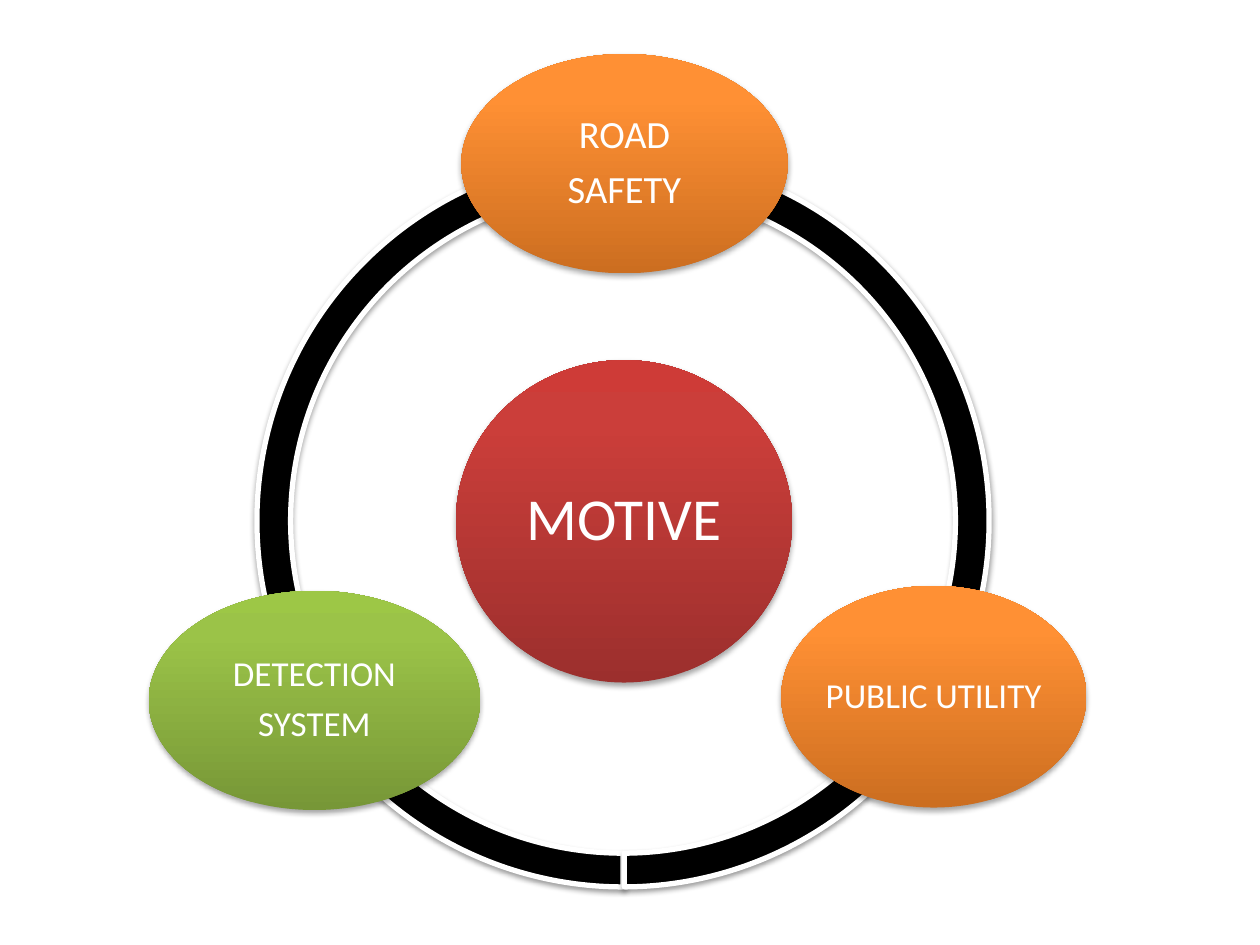
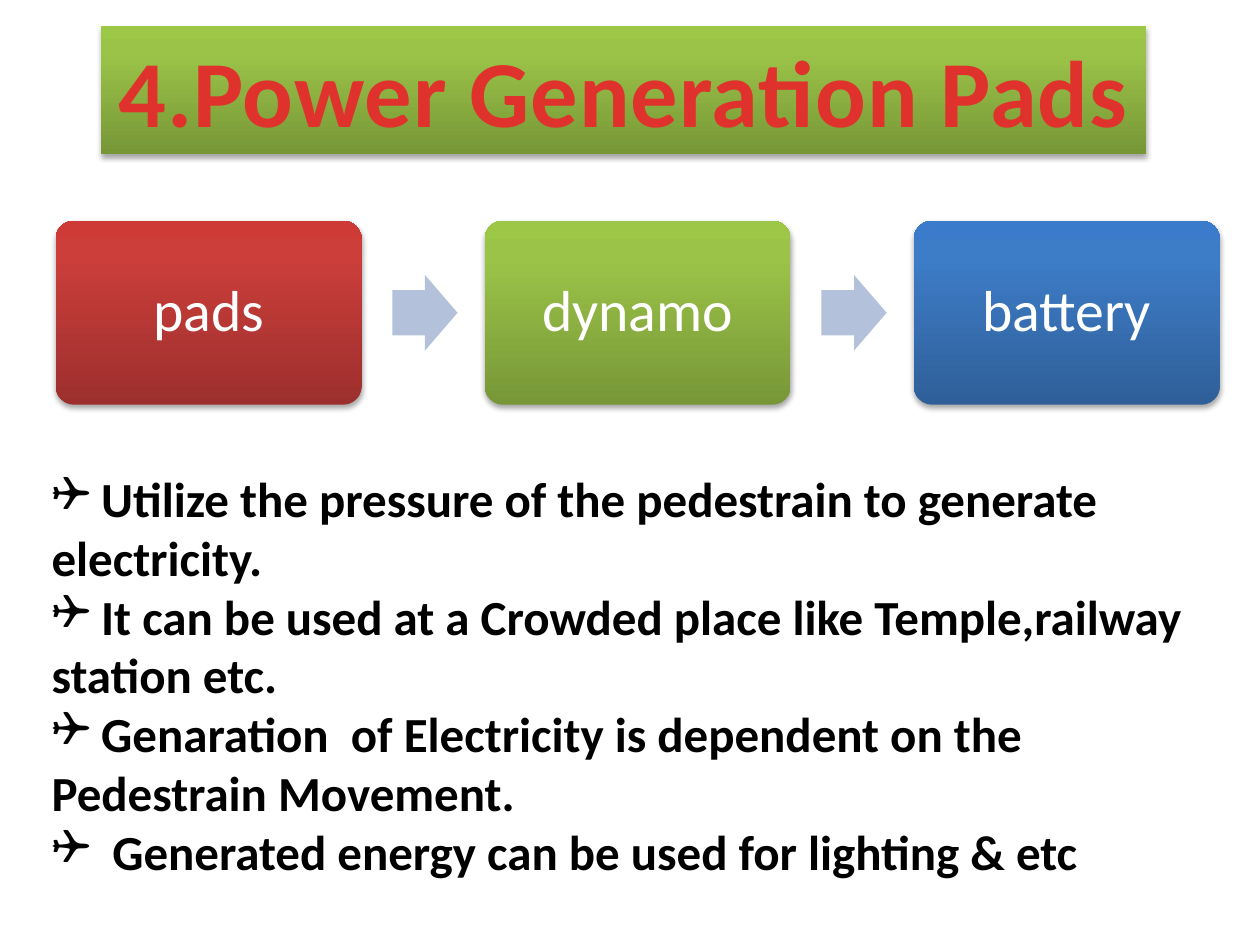
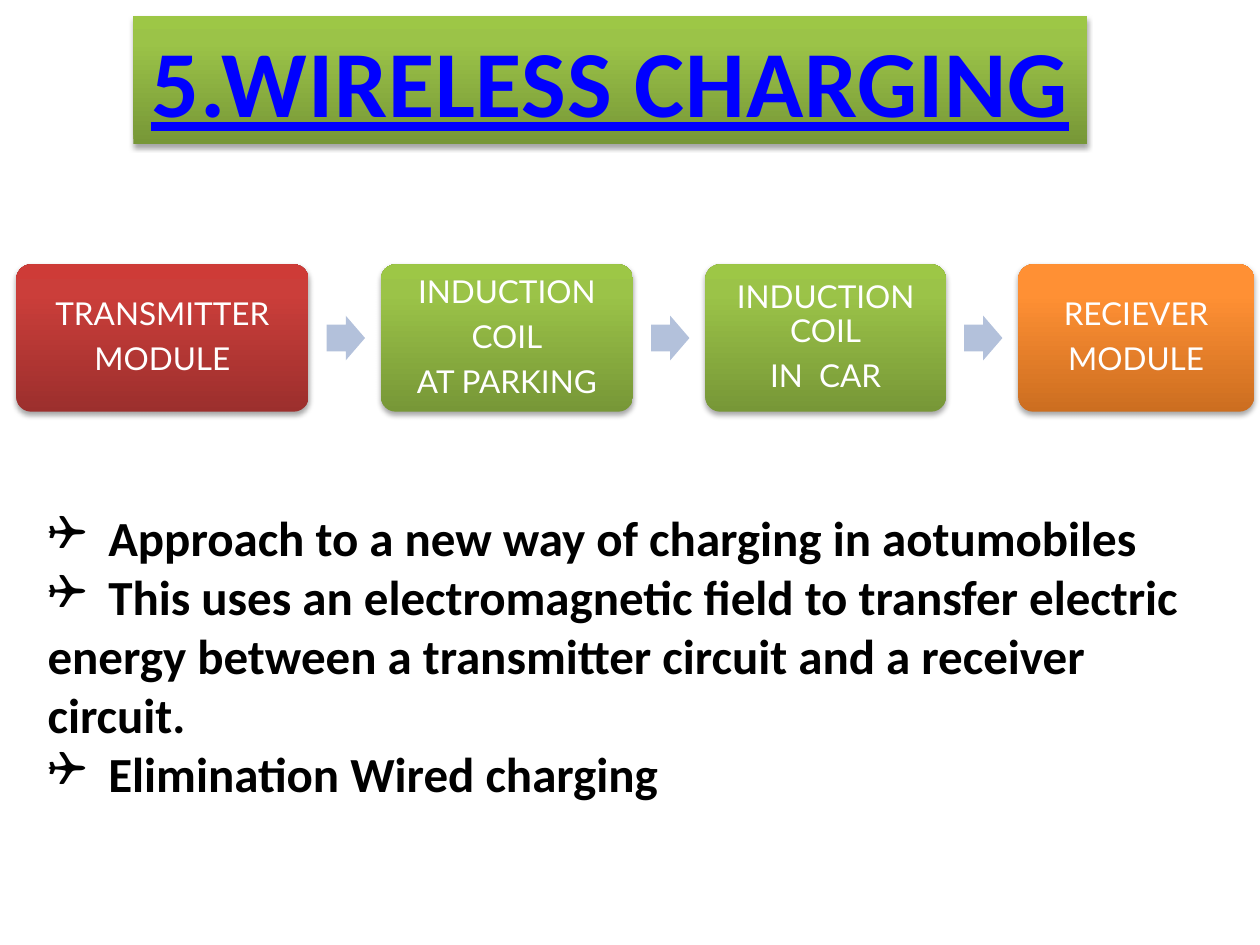
from pptx import Presentation
from pptx.dml.color import RGBColor
from pptx.enum.shapes import MSO_SHAPE
from pptx.enum.text import MSO_ANCHOR, MSO_AUTO_SIZE, PP_ALIGN
from pptx.oxml import parse_xml
from pptx.oxml.ns import nsdecls, qn
from pptx.util import Cm, Pt

ARC, OVAL = MSO_SHAPE.BLOCK_ARC, MSO_SHAPE.OVAL
BOX, ARROW = MSO_SHAPE.ROUNDED_RECTANGLE, MSO_SHAPE.RIGHT_ARROW
TOP, MIDDLE = MSO_ANCHOR.TOP, MSO_ANCHOR.MIDDLE
LEFT, CENTER = PP_ALIGN.LEFT, PP_ALIGN.CENTER
GROW = MSO_AUTO_SIZE.SHAPE_TO_FIT_TEXT
TITLE_ONLY, BLANK = 5, 6

RED = ("9C2F2D", "CB3E3A", "CE3B37")
GREEN = ("779737", "9BC348", "9DC746")
ORANGE = ("CC6E20", "FF9034", "FF9136")
BLUE = ("2F5F99", "3D7CC7", "3A7CCB")
BLACK, WHITE = "000000", "FFFFFF"
ARROW_FILL = "B3C1DB"


def rgb(value):
    return RGBColor.from_string(value)


def write(tf, lines, font="Calibri", size=18, color=WHITE, bold=False, underline=False,
          align=CENTER, anchor=MIDDLE, wrap=True, spacing=None, after=0, inset=None):
    tf.word_wrap = wrap
    tf.vertical_anchor = anchor
    if inset is not None:
        tf.margin_left = tf.margin_right = tf.margin_top = tf.margin_bottom = Cm(inset)
    for i, line in enumerate(lines):
        p = tf.add_paragraph() if i else tf.paragraphs[0]
        p.alignment = align
        p.line_spacing = spacing
        p.space_after = Pt(after)
        r = p.add_run()
        r.text = line
        r.font.name = font
        r.font.size = Pt(size)
        r.font.bold = bold
        r.font.underline = underline
        r.font.color.rgb = rgb(color)


class Deck:
    def __init__(self):
        self.prs = Presentation()
        self.prs.slide_width, self.prs.slide_height = Cm(25.4), Cm(19.05)
        self.slide = None

    def add_slide(self, layout):
        self.slide = self.prs.slides.add_slide(self.prs.slide_layouts[layout])

    def paint(self, s, fill):
        if isinstance(fill, str):
            s.fill.solid()
            s.fill.fore_color.rgb = rgb(fill)
            return
        s.fill.background()
        stops = "".join(f'<a:gs pos="{pos}"><a:srgbClr val="{color}"/></a:gs>'
                        for pos, color in zip((0, 80000, 100000), fill))
        spPr = s._element.spPr
        spPr.replace(spPr.find(qn("a:noFill")), parse_xml(
            f'<a:gradFill {nsdecls("a")} rotWithShape="1"><a:gsLst>{stops}</a:gsLst>'
            '<a:lin ang="16200000" scaled="0"/></a:gradFill>'))

    def cast_shadow(self, s, opacity=35, distance=23000):
        s.shadow.inherit = False
        s._element.spPr.find(qn("a:effectLst")).append(parse_xml(
            f'<a:outerShdw {nsdecls("a")} blurRad="40000" dist="{distance}" dir="5400000" '
            f'rotWithShape="0"><a:srgbClr val="000000"><a:alpha val="{opacity * 1000}"/>'
            '</a:srgbClr></a:outerShdw>'))

    def shape(self, kind, left, top, width, height, fill, adjust=()):
        s = self.slide.shapes.add_shape(kind, Cm(left), Cm(top), Cm(width), Cm(height))
        for i, value in enumerate(adjust):
            s.adjustments[i] = value
        s.shadow.inherit = False
        s.line.fill.background()
        self.paint(s, fill)
        return s

    def title(self, text, left, top, width, **fmt):
        s = self.slide.shapes.title
        s.left, s.top, s.width, s.height = Cm(left), Cm(top), Cm(width), Cm(2.57)
        self.paint(s, GREEN)
        self.cast_shadow(s)
        s.text_frame.auto_size = GROW
        write(s.text_frame, [text], size=54, bold=True, anchor=TOP, wrap=False, **fmt)
        s.text_frame.paragraphs[0].runs[0].font._element.set("spc", "50")

    def arc(self, start, end):
        s = self.shape(ARC, 5.18, 3.12, 14.76, 14.76, BLACK, (start * 0.6, end * 0.6, 0.046))
        s.line.color.rgb = rgb(WHITE)
        s.line.width = Pt(3)
        self.cast_shadow(s, opacity=38, distance=20000)

    def node(self, kind, lines, left, top, width, height, fill, size, adjust=(), **fmt):
        s = self.shape(kind, left, top, width, height, fill, adjust)
        self.cast_shadow(s)
        write(s.text_frame, lines, size=size, spacing=0.9, after=0.35 * size, **fmt)

    def flow(self, steps, left, top, height, gap, **fmt):
        arrow_width = 0.53 * gap
        arrow_height = 1.16 * arrow_width
        for i, (lines, width, fill) in enumerate(steps):
            if i:
                self.shape(ARROW, left - 0.75 * gap, top + (height - arrow_height) / 2,
                           arrow_width, arrow_height, ARROW_FILL, (0.6, 0.5))
            self.node(BOX, lines, left, top, width, height, fill, adjust=(0.1,), **fmt)
            left += width + gap

    def bullets(self, lines, left, top, width, height):
        s = self.slide.shapes.add_textbox(Cm(left), Cm(top), Cm(width), Cm(height))
        tf = s.text_frame
        tf.auto_size = GROW
        write(tf, lines, size=28, color=BLACK, bold=True, align=LEFT, anchor=TOP)
        for p in tf.paragraphs:
            pPr = p._p.get_or_add_pPr()
            pPr.append(parse_xml(f'<a:buFont {nsdecls("a")} typeface="Wingdings"/>'))
            pPr.append(parse_xml(f'<a:buChar {nsdecls("a")} char="❑"/>'))


def motive(deck):
    deck.add_slide(BLANK)
    for start, end in ((90, 162), (17.77, 89.78), (162.22, 17.55)):
        deck.arc(start, end)
    for lines, left, top, width, height, fill, size in (
        (["MOTIVE"], 9.19, 7.26, 6.78, 6.5, RED, 34),
        (["ROAD", "SAFETY"], 9.3, 1.09, 6.58, 4.42, ORANGE, 22),
        (["PUBLIC UTILITY"], 15.75, 11.81, 6.15, 4.47, ORANGE, 20),
        (["DETECTION", "SYSTEM"], 3, 11.91, 6.68, 4.42, GREEN, 20),
    ):
        deck.node(OVAL, lines, left, top, width, height, fill, size, wrap=False, inset=0.08)


def power_pads(deck):
    deck.add_slide(TITLE_ONLY)
    deck.title("4.Power Generation Pads", 2.03, 0.53, 21.08, color="E0322D")
    steps = [(["pads"], 6.17, RED), (["dynamo"], 6.17, GREEN), (["battery"], 6.17, BLUE)]
    deck.flow(steps, 1.12, 4.45, 3.71, gap=2.48, size=33, inset=0.36)
    deck.bullets([
        " Utilize the pressure of the pedestrain to generate electricity.",
        " It can be used at a Crowded place like Temple,railway station etc.",
        " Genaration  of Electricity is dependent on the Pedestrain Movement.",
        "  Generated energy can be used for lighting & etc",
    ], 0.79, 9.32, 24.51, 8.64)


def wireless_charging(deck):
    deck.add_slide(TITLE_ONLY)
    deck.title("5.WIRELESS CHARGING", 2.69, 0.33, 19.23, color="0000FF", underline=True)
    steps = [
        (["TRANSMITTER", "MODULE"], 5.89, RED),
        (["INDUCTION", "COIL", "AT PARKING"], 5.08, GREEN),
        (["INDUCTION COIL", "IN  CAR"], 4.85, GREEN),
        (["RECIEVER", "MODULE"], 4.75, ORANGE),
    ]
    deck.flow(steps, 0.33, 5.33, 2.97, gap=1.46, size=18, font="Lato", inset=0.18)
    deck.bullets([
        "  Approach to a new way of charging in aotumobiles",
        "  This uses an electromagnetic field to transfer electric energy between "
        "a transmitter circuit and a receiver circuit.",
        "  Elimination Wired charging",
    ], 0.71, 10.11, 24, 7.01)


def main():
    deck = Deck()
    motive(deck)
    power_pads(deck)
    wireless_charging(deck)
    deck.prs.save("out.pptx")


if __name__ == "__main__":
    main()
